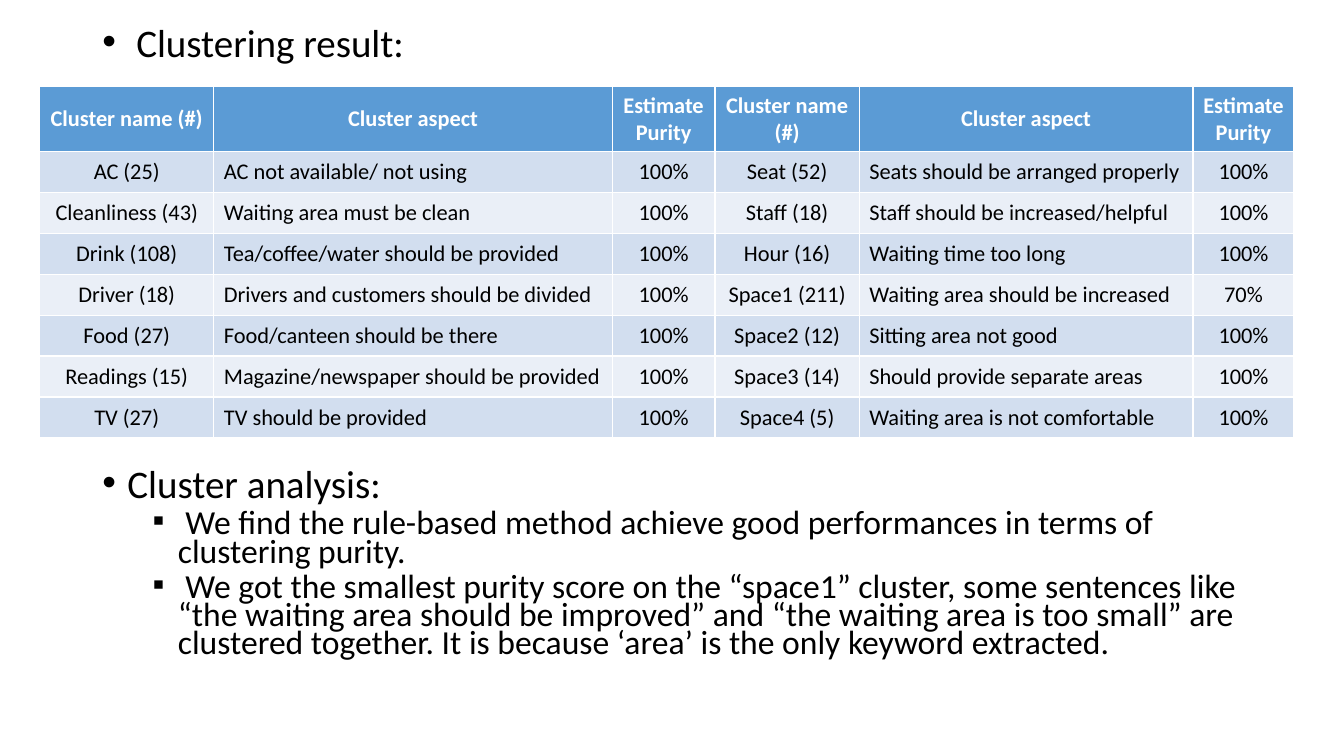
from lxml import etree
from pptx import Presentation
from pptx.dml.color import RGBColor
from pptx.enum import text as t
from pptx.oxml import ns
from pptx.util import Pt

FACE = "Calibri"
HUES = {"head": "5B9BD5", "odd": "D2DEEF", "even": "EAEFF7",
        "white": "FFFFFF", "black": "000000"}
WIDTHS = [124.5, 284.5, 73.5, 103, 238.5, 72]
HEADS = ["Cluster name (#)", "Cluster aspect", "Estimate Purity"] * 2
ROWS = [
    ["AC (25)", "AC not available/ not using", "100%",
     "Seat (52)", "Seats should be arranged properly", "100%"],
    ["Cleanliness (43)", "Waiting area must be clean", "100%",
     "Staff (18)", "Staff should be increased/helpful", "100%"],
    ["Drink (108)", "Tea/coffee/water should be provided", "100%",
     "Hour (16)", "Waiting time too long", "100%"],
    ["Driver (18)", "Drivers and customers should be divided", "100%",
     "Space1 (211)", "Waiting area should be increased", "70%"],
    ["Food (27)", "Food/canteen should be there", "100%",
     "Space2 (12)", "Sitting area not good", "100%"],
    ["Readings (15)", "Magazine/newspaper should be provided", "100%",
     "Space3 (14)", "Should provide separate areas", "100%"],
    ["TV (27)", "TV should be provided", "100%",
     "Space4 (5)", "Waiting area is not comfortable", "100%"],
]
POINTS = [
    " We find the rule-based method achieve good performances in terms of "
    "clustering purity.",
    " We got the smallest purity score on the “space1” cluster, some sentences "
    "like “the waiting area should be improved” and “the waiting area is too "
    "small” are clustered together. It is because ‘area’ is the only keyword "
    "extracted.",
]


def color(name):
    return RGBColor.from_string(HUES[name])


def style(para, size, hue, bold=False):
    font = para.font
    font.name, font.size, font.bold = FACE, Pt(size), bold
    font.color.rgb = color(hue)


def fill_cell(cell, words, fill, hue, bold, left):
    cell.fill.solid()
    cell.fill.fore_color.rgb = color(fill)
    cell.vertical_anchor = t.MSO_ANCHOR.MIDDLE
    para = cell.text_frame.paragraphs[0]
    para.text = words
    para.alignment = t.PP_ALIGN.LEFT if left else t.PP_ALIGN.CENTER
    style(para, 16, hue, bold)


def add_grid(slide):
    rows = [HEADS] + ROWS
    frame = slide.shapes.add_table(len(rows), len(WIDTHS), Pt(28.3), Pt(62),
                                   Pt(sum(WIDTHS)), Pt(250.5))
    grid = frame.table
    for col, width in zip(grid.columns, WIDTHS):
        col.width = Pt(width)
    for i, row in enumerate(rows):
        head = i == 0
        grid.rows[i].height = Pt(46 if head else 29.2)
        fill = "head" if head else "odd" if i % 2 else "even"
        hue = "white" if head else "black"
        for j, words in enumerate(row):
            left = not head and j % 3 == 1
            fill_cell(grid.cell(i, j), words, fill, hue, head, left)


def add_bullet(para, words, level):
    para.text = words
    para.level = level
    para.line_spacing = 0.7
    para.space_before = Pt(5 if level else 10)
    props = para._p.get_or_add_pPr()
    props.set("marL", str(Pt(54 if level else 18)))
    props.set("indent", str(Pt(-18)))
    etree.SubElement(props, ns.qn("a:buFont")).set("typeface", "Arial")
    etree.SubElement(props, ns.qn("a:buChar")).set("char", "▪" if level else "•")
    style(para, 24 if level else 27.9, "black")


def add_list(slide, top, height, items):
    box = slide.shapes.add_textbox(Pt(66), Pt(top), Pt(828), Pt(height))
    frame = box.text_frame
    frame.word_wrap = True
    for i, (words, level) in enumerate(items):
        para = frame.add_paragraph() if i else frame.paragraphs[0]
        add_bullet(para, words, level)


def main():
    deck = Presentation()
    deck.slide_width, deck.slide_height = Pt(960), Pt(540)
    slide = deck.slides.add_slide(deck.slide_layouts[6])
    add_grid(slide)
    add_list(slide, 19, 36, [(" Clustering result:", 0)])
    add_list(slide, 334, 160,
             [("Cluster analysis:", 0)] + [(words, 1) for words in POINTS])
    deck.save("out.pptx")


if __name__ == "__main__":
    main()
